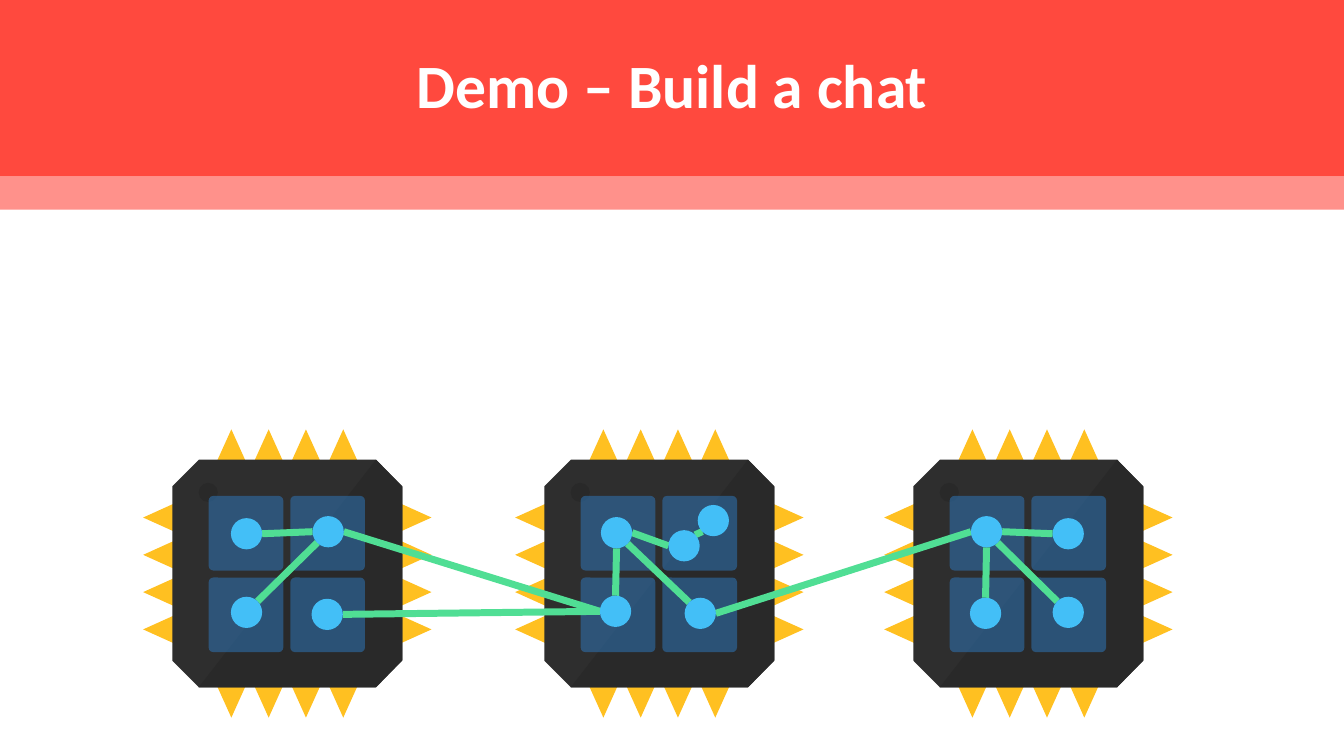
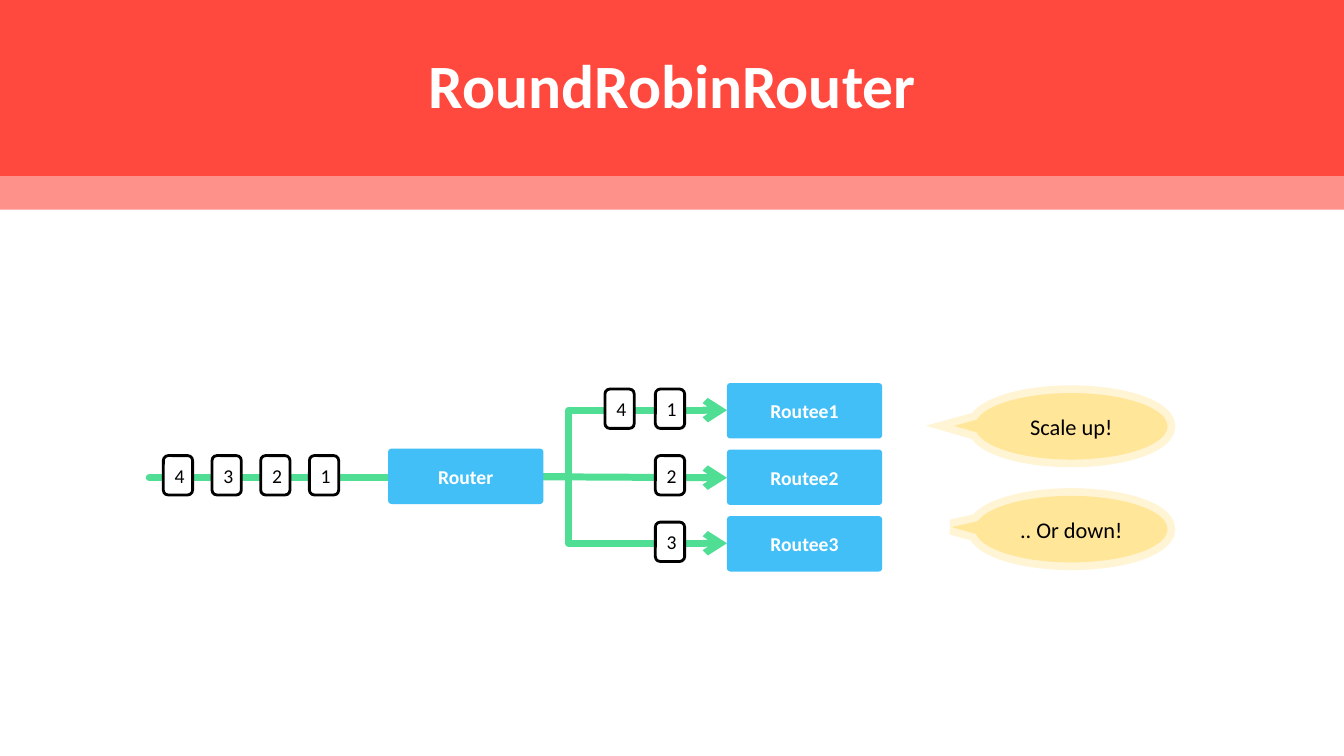
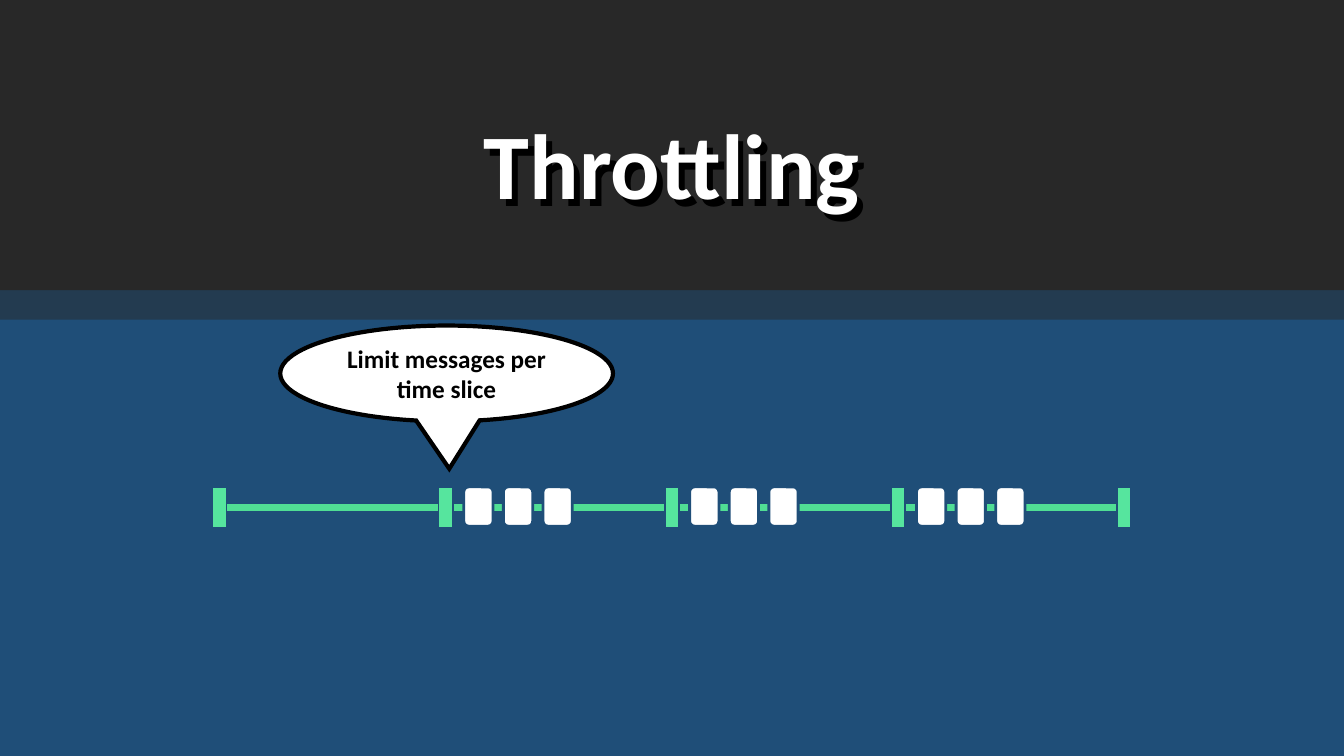
from lxml import etree
from pptx import Presentation
from pptx.dml.color import RGBColor
from pptx.enum.shapes import MSO_CONNECTOR, MSO_SHAPE
from pptx.enum.text import MSO_ANCHOR, PP_ALIGN
from pptx.oxml.ns import qn
from pptx.util import Inches, Pt

RECT, ROUND = MSO_SHAPE.RECTANGLE, MSO_SHAPE.ROUNDED_RECTANGLE
OVAL, OCTAGON = MSO_SHAPE.OVAL, MSO_SHAPE.OCTAGON
CALLOUT = MSO_SHAPE.OVAL_CALLOUT
STRAIGHT, ELBOW = MSO_CONNECTOR.STRAIGHT, MSO_CONNECTOR.ELBOW
CENTER, MIDDLE, TOP = PP_ALIGN.CENTER, MSO_ANCHOR.MIDDLE, MSO_ANCHOR.TOP

WHITE = RGBColor(0xFF, 0xFF, 0xFF)
BLACK = RGBColor(0, 0, 0)
RED = RGBColor(0xFF, 0x49, 0x3E)
GREEN = RGBColor(0x50, 0xDE, 0x94)
MINT = RGBColor(0x56, 0xE5, 0x9E)
SKY = RGBColor(0x43, 0xBF, 0xF7)
CORE_BLUE = RGBColor(0x2E, 0x75, 0xB6)
GOLD = RGBColor(0xFF, 0xC0, 0x21)
CREAM = RGBColor(0xFF, 0xE6, 0x99)
CHIP = RGBColor(0x2E, 0x2E, 0x2E)
CHIP_SHADE = RGBColor(0x29, 0x29, 0x29)
NAVY = RGBColor(0x1F, 0x4E, 0x78)
SLATE = RGBColor(0x23, 0x3B, 0x50)
CHARCOAL = RGBColor(0x28, 0x28, 0x28)

FONT = "Calibri"
WIDTH, HEIGHT = 13.33, 7.5
TITLE = {"size": Pt(44), "bold": True, "color": WHITE}
SECTION = {"size": Pt(66), "bold": True, "color": WHITE}
BOX_LABEL = {"size": Pt(14), "bold": True, "color": WHITE}
NUMBER = {"size": Pt(14), "color": BLACK}
REMARK = {"size": Pt(16), "color": BLACK}
NOTICE = {"size": Pt(18), "bold": True, "color": BLACK}


# Basic elements
def set_alpha(parent, percent):
    color = parent.find(qn("a:solidFill"))[0]
    etree.SubElement(color, qn("a:alpha")).set("val", str(percent * 1000))


def write(shape, text, style, anchor=MIDDLE, spacing=None):
    tf = shape.text_frame
    tf.word_wrap = True
    tf.vertical_anchor = anchor
    p = tf.paragraphs[0]
    p.alignment, p.line_spacing = CENTER, spacing
    r = p.add_run()
    r.text = text
    r.font.name = FONT
    for name, value in style.items():
        if name == "color":
            r.font.color.rgb = value
        else:
            setattr(r.font, name, value)


def paint(sp, fill, alpha=None, line=None, line_alpha=None):
    sp.shadow.inherit = False
    sp.fill.solid()
    sp.fill.fore_color.rgb = fill
    if alpha:
        set_alpha(sp._element.spPr, alpha)
    if not line:
        sp.line.fill.background()
        return
    color, width = line
    sp.line.color.rgb = color
    sp.line.width = Pt(width)
    ln = sp._element.spPr.find(qn("a:ln"))
    if line_alpha:
        set_alpha(ln, line_alpha)
    etree.SubElement(ln, qn("a:miter")).set("lim", "800000")


def add_box(s, kind, x, y, w, h, fill, adj=(), text=None, style=None, **look):
    sp = s.shapes.add_shape(kind, Inches(x), Inches(y), Inches(w), Inches(h))
    for i, value in enumerate(adj):
        sp.adjustments[i] = value
    paint(sp, fill, **look)
    if text:
        write(sp, text, style)
    return sp


def add_text(s, x, y, w, h, text, style, **layout):
    sp = s.shapes.add_textbox(Inches(x), Inches(y), Inches(w), Inches(h))
    write(sp, text, style, **layout)
    return sp


def add_polygons(s, polygons, fill):
    builder = None
    for points in polygons:
        points = [(Inches(x), Inches(y)) for x, y in points]
        if builder is None:
            builder = s.shapes.build_freeform(*points[0], scale=1.0)
        else:
            builder.move_to(*points[0])
        builder.add_line_segments(points[1:], close=True)
    paint(builder.convert_to_shape(), fill)


def add_line(s, start, end, kind=STRAIGHT, bend=None, arrow=False, cap="flat"):
    ends = [Inches(v) for v in (*start, *end)]
    cxn = s.shapes.add_connector(kind, *ends)
    cxn.line.color.rgb = GREEN
    cxn.line.width = Pt(5)
    sp_pr = cxn._element.spPr
    ln = sp_pr.find(qn("a:ln"))
    ln.set("cap", cap)
    etree.SubElement(ln, qn("a:round"))
    if arrow:
        etree.SubElement(ln, qn("a:tailEnd")).set("type", "arrow")
    if bend:
        geom = sp_pr.find(qn("a:prstGeom"))
        guides = geom.find(qn("a:avLst"))
        if guides is None:
            guides = etree.SubElement(geom, qn("a:avLst"))
        gd = etree.SubElement(guides, qn("a:gd"))
        gd.set("name", "adj1")
        gd.set("fmla", f"val {round(bend * 100000)}")
    etree.SubElement(sp_pr, qn("a:effectLst"))


# Shared slide parts
def new_slide(prs, background):
    s = prs.slides.add_slide(prs.slide_layouts[6])
    s.background.fill.solid()
    s.background.fill.fore_color.rgb = background
    return s


def content_slide(prs, title):
    s = new_slide(prs, WHITE)
    add_box(s, RECT, 0, 0, WIDTH, 1.75, RED)
    add_box(s, RECT, 0, 1.75, WIDTH, 0.33, RED, alpha=60)
    add_text(s, 0.92, 0.15, 11.5, 1.45, title, TITLE, spacing=0.9)
    return s


# Slide 1: chips joined by a network of nodes
def add_chip(s, x, y):
    size, depth, half = 2.86, 0.31, 0.14
    spikes = []
    for i in range(4):
        mid = size / 2 + (i - 1.5) * 0.37
        for tip, base in ((0, depth), (size, size - depth)):
            spike = [(mid - half, base), (mid, tip), (mid + half, base)]
            spikes.append([(x + a, y + b) for a, b in spike])
            spikes.append([(x + b, y + a) for a, b in spike])
    add_polygons(s, spikes, GOLD)
    add_box(s, OCTAGON, x + 0.29, y + 0.3, 2.28, 2.26, CHIP, adj=[0.117])
    shade = [(0.55, 2.56), (2.31, 0.3), (2.57, 0.57), (2.57, 2.29), (2.31, 2.56)]
    add_polygons(s, [[(x + a, y + b) for a, b in shade]], CHIP_SHADE)
    add_box(s, OVAL, x + 0.55, y + 0.53, 0.19, 0.19, CHIP_SHADE)
    for row in range(2):
        for col in range(2):
            add_box(s, ROUND, x + 0.65 + 0.81 * col, y + 0.66 + 0.81 * row,
                    0.74, 0.74, CORE_BLUE, adj=[0.062], alpha=55)


NODE = 0.31
NODES = {  # top left corner of each node: chip number and letter
    "1a": (2.29, 5.14), "1b": (3.1, 5.12), "1c": (2.29, 5.92), "1d": (3.09, 5.94),
    "2a": (5.96, 5.13), "2c": (5.95, 5.91), "2d": (6.79, 5.93),
    "2f": (6.92, 5.01), "2e": (6.63, 5.26),
    "3a": (9.63, 5.12), "3b": (10.44, 5.14), "3c": (9.62, 5.93), "3d": (10.44, 5.92),
}
ANCHORS = {  # point on the node's rim, as a share of its size
    "left": (0, 0.5), "right": (1, 0.5), "top": (0.5, 0), "bottom": (0.5, 1),
    "top left": (0.15, 0.15), "top right": (0.85, 0.15),
    "bottom left": (0.15, 0.85), "bottom right": (0.85, 0.85),
}
LINKS = [
    ("3a", "left", "2d", "right"), ("2c", "left", "1b", "right"),
    ("2c", "left", "1d", "right"), ("2a", "bottom", "2c", "top"),
    ("1b", "left", "1a", "right"), ("1b", "bottom left", "1c", "top right"),
    ("3a", "bottom", "3c", "top"), ("3a", "bottom right", "3d", "top left"),
    ("2a", "bottom right", "2d", "top left"), ("3a", "right", "3b", "left"),
    ("2e", "left", "2a", "right"), ("2e", "top right", "2f", "bottom left"),
]


def rim_point(node, side):
    return [at + NODE * share for at, share in zip(NODES[node], ANCHORS[side])]


def chat_slide(prs):
    s = content_slide(prs, "Demo – Build a chat")
    for x in (8.77, 5.11, 1.42):
        add_chip(s, x, 4.26)
    for node, side, other, other_side in LINKS:
        add_line(s, rim_point(node, side), rim_point(other, other_side))
    for x, y in NODES.values():
        add_box(s, OVAL, x, y, NODE, NODE, SKY)


# Slide 2: router that deals messages out in turn
def add_message(s, x, y, text=None, edge=BLACK):
    add_box(s, ROUND, x, y, 0.29, 0.39, WHITE, line=(edge, 2),
            text=text, style=NUMBER)


def router_slide(prs):
    s = content_slide(prs, "RoundRobinRouter")
    routee_tops = [3.8 + 0.66 * i for i in range(3)]
    fork = (5.39, 4.73)
    for i in (2, 0):
        add_line(s, fork, (7.21, routee_tops[i] + 0.27), ELBOW, bend=0.135,
                 arrow=True, cap="rnd")
    add_line(s, fork, (7.21, 4.74), arrow=True, cap="rnd")
    add_line(s, (1.48, 4.74), (3.85, 4.74), cap="rnd")
    for i, number in enumerate("4321"):
        add_message(s, 1.62 + 0.483 * i, 4.52, number)
    for top, number in zip(routee_tops, "123"):
        add_message(s, 6.5, top + 0.06, number)
    add_message(s, 6, 3.86, "4")
    boxes = [("Router", 3.85, 4.45)]
    boxes += [(f"Routee{i}", 7.21, top) for i, top in enumerate(routee_tops, 1)]
    for text, x, y in boxes:
        add_box(s, ROUND, x, y, 1.54, 0.55, SKY, adj=[0.062],
                text=text, style=BOX_LABEL)
    for text, y, tip in (("Scale up!", 3.9, (-0.608, -0.006)),
                         (".. Or down!", 4.92, (-0.621, -0.03))):
        add_box(s, CALLOUT, 9.67, y, 1.91, 0.66, CREAM, adj=tip, text=text,
                style=REMARK, line=(CREAM, 11), line_alpha=42)


# Slide 3: time line with three messages in a slice
def add_text_shadow(sp):
    effects = etree.SubElement(sp._element.spPr, qn("a:effectLst"))
    shadow = etree.SubElement(effects, qn("a:outerShdw"))
    for name, value in {"dist": "84000", "dir": "3000000", "algn": "tl"}.items():
        shadow.set(name, value)
    etree.SubElement(shadow, qn("a:srgbClr")).set("val", str(BLACK))


def throttling_slide(prs):
    s = new_slide(prs, NAVY)
    add_box(s, RECT, 0, 2.88, WIDTH, 0.29, SLATE)
    add_box(s, RECT, 0, 0, WIDTH, 2.88, CHARCOAL)
    title = add_text(s, 0, 1.01, WIDTH, 1.21, "Throttling", SECTION, anchor=TOP)
    add_text_shadow(title)
    add_line(s, (2.25, 5.03), (11.08, 5.03))
    for i in range(5):
        add_box(s, RECT, 2.11 + 2.2425 * i, 4.83, 0.14, 0.41, MINT, line=(NAVY, 1))
    for start in (4.6, 6.84, 9.09):
        for i in range(3):
            add_message(s, start + 0.393 * i, 4.83, edge=NAVY)
    add_box(s, CALLOUT, 2.78, 3.23, 3.3, 0.95, WHITE, adj=(0.008, 0.995),
            line=(BLACK, 3), text="Limit messages per time slice", style=NOTICE)


def main():
    prs = Presentation()
    prs.slide_width, prs.slide_height = Inches(WIDTH), Inches(HEIGHT)
    chat_slide(prs)
    router_slide(prs)
    throttling_slide(prs)
    prs.save("out.pptx")


if __name__ == "__main__":
    main()
